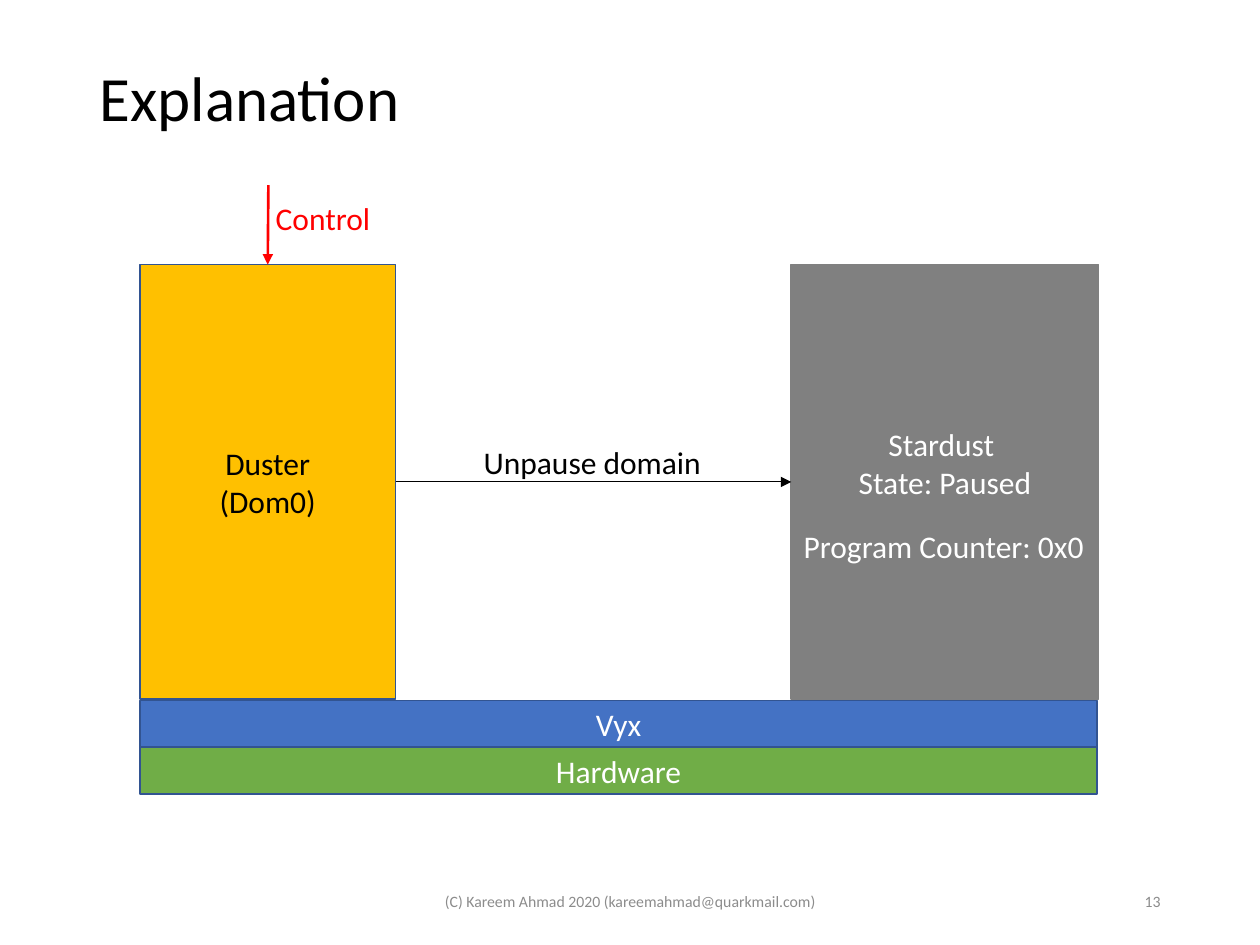
from lxml.etree import SubElement
from pptx import Presentation
from pptx.dml.color import RGBColor
from pptx.enum.shapes import MSO_CONNECTOR, MSO_SHAPE
from pptx.enum.text import MSO_ANCHOR, MSO_AUTO_SIZE, PP_ALIGN
from pptx.oxml.ns import qn
from pptx.util import Inches, Pt

BLACK, WHITE, RED = "000000", "FFFFFF", "FF0000"
GRAY, NAVY, PALE = "808080", "325491", "8C8C8C"
LEFT, TOP, WIDE, TALL, BAR = 1.11, 2.1, 7.6, 3.45, 0.37
BASE = 5.56


def color(code):
    return RGBColor.from_string(code)


def apply(item, style):
    for name, value in style.items():
        setattr(item, name, value)


def place(shape, box):
    names = ("left", "top", "width", "height")
    apply(shape, dict(zip(names, map(Inches, box))))


def write(shape, lines, ink, size=18, align=PP_ALIGN.CENTER, **style):
    frame = shape.text_frame
    apply(frame, {"vertical_anchor": MSO_ANCHOR.MIDDLE, "word_wrap": True, **style})
    frame.text = "\n".join(lines)
    for para in frame.paragraphs:
        para.alignment = align
        for run in para.runs:
            apply(run.font, {"name": "Calibri", "size": Pt(size), "bold": False})
            run.font.color.rgb = color(ink)


def add_block(slide, box, lines, fill, edge=NAVY, ink=WHITE, **style):
    shape = slide.shapes.add_shape(MSO_SHAPE.RECTANGLE, *map(Inches, box))
    shape.shadow.inherit = False
    shape.fill.solid()
    shape.fill.fore_color.rgb = color(fill)
    shape.line.color.rgb = color(edge)
    shape.line.width = Pt(1)
    write(shape, lines, ink, **style)
    return shape


def add_text(slide, box, text, ink, **style):
    shape = slide.shapes.add_textbox(*map(Inches, box))
    write(shape, [text], ink, **style)


def add_label(slide, box, text, ink):
    add_text(slide, box, text, ink, align=PP_ALIGN.LEFT, word_wrap=False,
             vertical_anchor=MSO_ANCHOR.TOP,
             auto_size=MSO_AUTO_SIZE.SHAPE_TO_FIT_TEXT)


def add_arrow(slide, start, end, ink, width):
    line = slide.shapes.add_connector(MSO_CONNECTOR.STRAIGHT, *map(Inches, start + end))
    line.line.color.rgb = color(ink)
    line.line.width = Pt(width)
    SubElement(line.line._get_or_add_ln(), qn("a:tailEnd"), type="triangle")
    SubElement(line._element.spPr, qn("a:effectLst"))
    return line


def main():
    deck = Presentation()
    apply(deck, {"slide_width": Inches(10), "slide_height": Inches(7.5)})
    slide = deck.slides.add_slide(deck.slide_layouts[5])
    title = slide.shapes.title
    place(title, (0.69, 0.4, 8.62, 0.8))
    write(title, ["Explanation"], BLACK, size=36, align=PP_ALIGN.LEFT)
    title.text_frame.paragraphs[0].line_spacing = 0.9

    bars = [("Vyx", "4472C4"), ("Hardware", "70AD47")]
    for row, (name, fill) in reversed(list(enumerate(bars))):
        add_block(slide, (LEFT, BASE + row * BAR, WIDE, BAR), [name], fill)

    add_text(slide, (3.31, 6.95, 3.38, 0.4),
             "(C) Kareem Ahmad 2020 (kareemahmad@quarkmail.com)", PALE, size=9)
    add_text(slide, (7.06, 6.95, 2.25, 0.4), "13", PALE, size=9, align=PP_ALIGN.RIGHT)

    host = add_block(slide, (LEFT, TOP, 2.03, TALL), ["Duster", "(Dom0)"],
                     "FFC000", ink=BLACK)
    guest = add_block(slide, (6.28, TOP, 2.44, TALL), ["Stardust ", "State: Paused"],
                      GRAY, edge=GRAY, margin_bottom=Inches(0.35))

    entry = add_arrow(slide, (2.13, 1.47), (2.13, TOP), RED, 1.5)
    entry.end_connect(host, 0)
    add_label(slide, (2.09, 1.53, 0.96, 0.4), "Control", RED)
    call = add_arrow(slide, (3.14, 3.83), (6.28, 3.83), BLACK, 0.5)
    call.begin_connect(host, 3)
    call.end_connect(guest, 1)
    add_label(slide, (6.28, 4.13, 2.45, 0.4), "Program Counter: 0x0", WHITE)
    add_label(slide, (3.74, 3.47, 1.95, 0.4), "Unpause domain", BLACK)

    deck.save("out.pptx")


if __name__ == "__main__":
    main()
